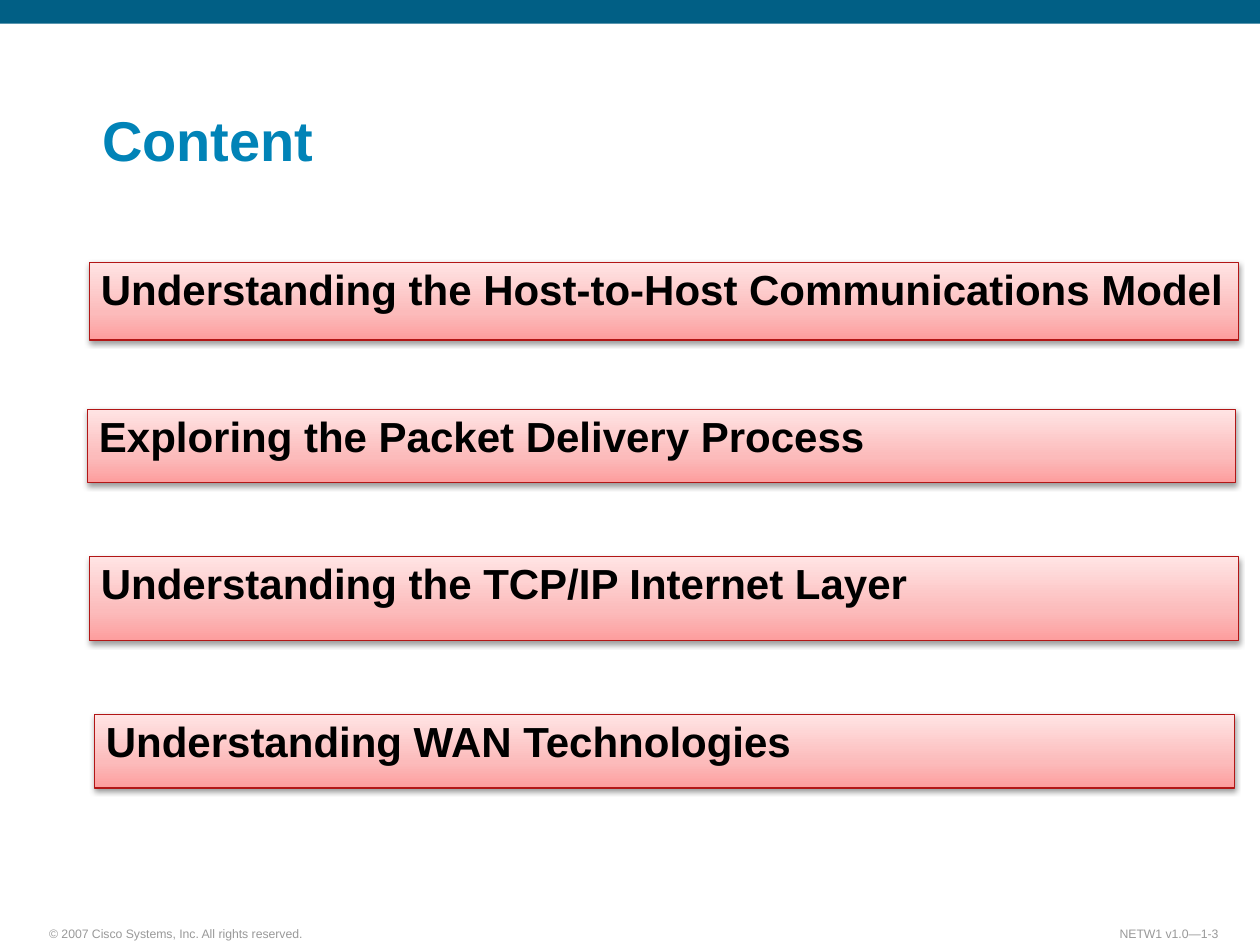
"""Build the course content slide with four topic bars."""
from copy import deepcopy
from typing import Any, NamedTuple

from pptx import Presentation
from pptx import util as u
from pptx.dml.color import RGBColor
from pptx.enum import shapes, text
from pptx.oxml import parse_xml
from pptx.oxml.ns import nsdecls

WIDTH, HEIGHT = u.Inches(10), u.Inches(7.5)
BAND = RGBColor(0x01, 0x5F, 0x85)
TITLE = RGBColor(0x01, 0x83, 0xB7)
GREY = RGBColor(0x99, 0x99, 0x99)
BLACK = RGBColor(0, 0, 0)
BORDER = RGBColor(0xB2, 0x16, 0x16)
GRADIENT = (
    (0, RGBColor(0xFD, 0x9D, 0x9D)),
    (0.35, RGBColor(0xFC, 0xBB, 0xBB)),
    (1, RGBColor(0xFF, 0xE4, 0xE4)),
)
MARGINS = {
    "margin_left": u.Inches(0.09), "margin_right": u.Inches(0.09),
    "margin_top": u.Inches(0.04), "margin_bottom": u.Inches(0.04),
}
SHADOW = (
    f'<a:outerShdw {nsdecls("a")} blurRad="40000" dist="20000" dir="5400000" rotWithShape="0">'
    '<a:srgbClr val="000000"><a:alpha val="38000"/></a:srgbClr></a:outerShdw>'
)


class Box(NamedTuple):
    """Position and size in percent of the slide."""
    left: float
    top: float
    width: float
    height: float

    def place(self) -> dict[str, int]:
        """Return the box as lengths on the slide."""
        return {
            "left": int(WIDTH * self.left / 100), "top": int(HEIGHT * self.top / 100),
            "width": int(WIDTH * self.width / 100), "height": int(HEIGHT * self.height / 100),
        }


class Label(NamedTuple):
    """A text and the box that holds it."""
    words: str
    box: Box
    align: text.PP_ALIGN = text.PP_ALIGN.LEFT


TOPICS = (
    Label("Understanding the Host-to-Host Communications Model", Box(7.1, 27.75, 91.2, 8.25)),
    Label("Exploring the Packet Delivery Process", Box(6.95, 43.3, 91.1, 7.8)),
    Label("Understanding the TCP/IP Internet Layer", Box(7.1, 58.9, 91.2, 8.9)),
    Label("Understanding WAN Technologies", Box(7.5, 75.6, 90.5, 7.8)),
)
FOOTERS = (
    Label("© 2007 Cisco Systems, Inc. All rights reserved.", Box(3, 97.3, 22.1, 2.8)),
    Label("NETW1 v1.0—1-3", Box(87.7, 97.3, 9.9, 2.8), text.PP_ALIGN.RIGHT),
)


def apply(target: Any, values: dict[str, Any]) -> None:
    """Set each named attribute on the target."""
    for name, value in values.items():
        setattr(target, name, value)


def write(sp: Any, label: Label, size: int, color: RGBColor, bold: bool = False,
          spacing: float = 1.0, anchor: text.MSO_ANCHOR = text.MSO_ANCHOR.BOTTOM,
          wrap: bool = True) -> None:
    """Put formatted text into a shape."""
    tf = sp.text_frame
    apply(tf, {**MARGINS, "word_wrap": wrap, "vertical_anchor": anchor,
               "auto_size": text.MSO_AUTO_SIZE.NONE})
    p = tf.paragraphs[0]
    apply(p, {"alignment": label.align, "line_spacing": spacing, "space_before": u.Pt(0)})
    r = p.add_run()
    r.text = label.words
    apply(r.font, {"name": "Arial", "size": u.Pt(size), "bold": bold})
    r.font.color.rgb = color


def add_rectangle(s: Any, box: Box) -> Any:
    """Add a rectangle without a theme shadow."""
    sp = s.shapes.add_shape(shapes.MSO_SHAPE.RECTANGLE, **box.place())
    sp.shadow.inherit = False
    return sp


def add_topic(s: Any, label: Label) -> None:
    """Add a gradient bar with its topic."""
    sp = add_rectangle(s, label.box)
    sp.fill.gradient()
    sp.fill.gradient_angle = 90
    first = sp._element.spPr.find(".//{*}gs")
    first.addnext(deepcopy(first))
    for stop, (position, color) in zip(sp.fill.gradient_stops, GRADIENT):
        stop.position = position
        stop.color.rgb = color
    sp.line.color.rgb = BORDER
    sp.line.width = u.Pt(0.75)
    sp._element.spPr.find("{*}effectLst").append(parse_xml(SHADOW))
    write(sp, label, 24, BLACK, True, 0.95, text.MSO_ANCHOR.TOP)


def main() -> None:
    """Compose and save the slide."""
    prs = Presentation()
    apply(prs, {"slide_width": WIDTH, "slide_height": HEIGHT})
    s = prs.slides.add_slide(prs.slide_layouts[5])
    band = add_rectangle(s, Box(0, 0, 100, 2.5))
    band.fill.solid()
    band.fill.fore_color.rgb = BAND
    band.line.fill.background()
    for label in FOOTERS:
        write(s.shapes.add_textbox(**label.box.place()), label, 7, GREY, wrap=False)
    heading = Label("Content", Box(7.2, 6.7, 89.1, 12.25))
    apply(s.shapes.title, heading.box.place())
    write(s.shapes.title, heading, 32, TITLE, True, 0.9)
    for label in TOPICS:
        add_topic(s, label)
    prs.save("out.pptx")


if __name__ == "__main__":
    main()
